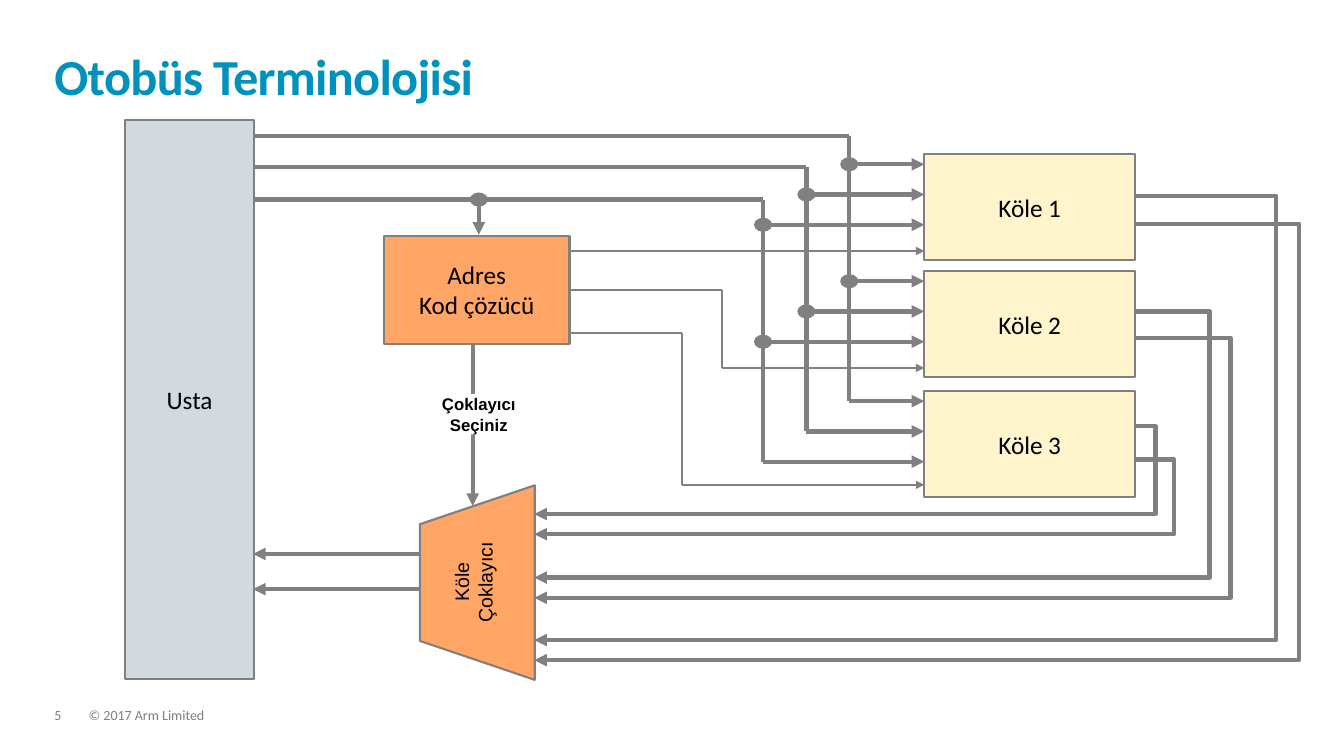
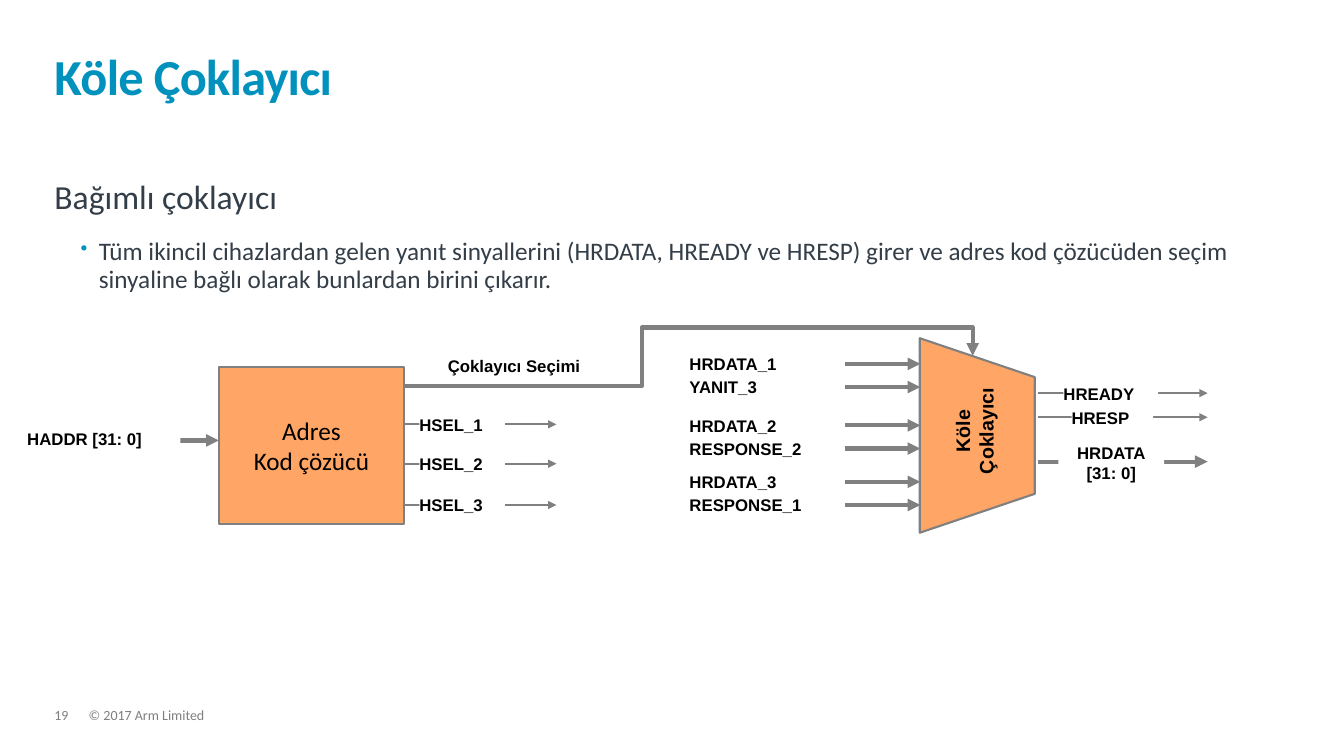
from lxml.etree import SubElement
from pptx import Presentation
from pptx.dml.color import RGBColor
from pptx.enum.shapes import MSO_CONNECTOR as LINK, MSO_SHAPE as SHAPE
from pptx.enum.text import MSO_ANCHOR as ANCHOR, MSO_AUTO_SIZE as AUTO, PP_ALIGN as ALIGN
from pptx.oxml.ns import qn
from pptx.util import Emu, Inches, Pt

# Grid: square cells, a tenth of an inch each
CELL = Inches(0.1)
COLUMNS, ROWS = 133.33, 75
MARGIN, CONTENT_WIDTH = 5.4, 122.3

# Shared look
TEAL = RGBColor(0x00, 0x91, 0xBD)
SLATE = RGBColor(0x33, 0x3E, 0x48)
FOOTER_GRAY = RGBColor(0x7F, 0x7F, 0x7F)
WIRE_GRAY = RGBColor(0x80, 0x80, 0x80)
PALE_GRAY = RGBColor(0xD2, 0xD9, 0xDF)
ORANGE = RGBColor(0xFF, 0xA6, 0x66)
CREAM = RGBColor(0xFF, 0xF4, 0xCC)
BLACK = RGBColor(0, 0, 0)
WHITE = RGBColor(0xFF, 0xFF, 0xFF)
BODY_FONT, LABEL_FONT = "Calibri", "Arial"
THIN, THICK = 1.5, 3
DECODER = ["Adres", "Kod çözücü"]
MUX = ["Köle", "Çoklayıcı"]


def cells(*counts):
    return [Emu(round(count * CELL)) for count in counts]


# Text
def add_bullet(paragraph):
    props = paragraph._p.get_or_add_pPr()
    indent, hanging = cells(4.4, -1.8)
    props.set("marL", str(indent))
    props.set("indent", str(hanging))
    color = SubElement(SubElement(props, qn("a:buClr")), qn("a:srgbClr"))
    color.set("val", str(TEAL))
    SubElement(props, qn("a:buSzPct")).set("val", "80000")
    SubElement(props, qn("a:buChar")).set("char", "•")


def write(paragraph, text, size=18, font=BODY_FONT, color=BLACK, bold=False,
          align=None, leading=None, after=None, tracking=None, bullet=False):
    if leading:
        paragraph.line_spacing = leading
    if after:
        paragraph.space_after = Pt(after)
    if align:
        paragraph.alignment = align
    if bullet:
        add_bullet(paragraph)
    run = paragraph.add_run()
    run.text = text
    run.font.size, run.font.name, run.font.bold = Pt(size), font, bold
    run.font.color.rgb = color
    if tracking:
        run._r.get_or_add_rPr().set("spc", str(round(tracking * 100)))


def write_lines(frame, lines, **style):
    for index, line in enumerate(lines):
        paragraph = frame.add_paragraph() if index else frame.paragraphs[0]
        write(paragraph, line, **style)


def text_area(slide, x, y, width, height, inset=0, anchor=ANCHOR.TOP):
    area = slide.shapes.add_textbox(*cells(x, y, width, height))
    frame = area.text_frame
    frame.word_wrap = True
    frame.auto_size = AUTO.NONE
    frame.vertical_anchor = anchor
    if not inset:
        frame.margin_left = frame.margin_right = 0
        frame.margin_top = frame.margin_bottom = 0
    return area


def label(slide, x, middle, width, lines, align=ALIGN.LEFT):
    """White signal label, centred on the height of its wire."""
    height = 2 * len(lines)
    area = text_area(slide, x, middle - height / 2, width, height)
    area.fill.solid()
    area.fill.fore_color.rgb = WHITE
    write_lines(area.text_frame, lines, size=12, font=LABEL_FONT,
                bold=True, align=align)


# Blocks
def solid(slide, kind, x, y, width, height, fill, outlined=True):
    block = slide.shapes.add_shape(kind, *cells(x, y, width, height))
    block.shadow.inherit = False
    block.fill.solid()
    block.fill.fore_color.rgb = fill
    if outlined:
        block.line.color.rgb = WIRE_GRAY
        block.line.width = Pt(THIN)
    else:
        block.line.fill.background()
    return block


def unit(slide, x, y, width, height, fill, lines):
    frame = solid(slide, SHAPE.RECTANGLE, x, y, width, height, fill).text_frame
    frame.word_wrap = False
    frame.vertical_anchor = ANCHOR.MIDDLE
    write_lines(frame, lines, align=ALIGN.CENTER)


def multiplexer(slide, x, y, turn):
    body = solid(slide, SHAPE.FLOWCHART_MANUAL_OPERATION, x, y, 19.3, 11.4, ORANGE)
    body.rotation = turn


def multiplexer_name(slide, x, y, bold):
    area = text_area(slide, x, y, 13.9, 5.7, inset=1)
    area.rotation = 270
    write_lines(area.text_frame, MUX, size=14, font=LABEL_FONT,
                bold=bold, align=ALIGN.CENTER)


def junction(slide, x, y):
    solid(slide, SHAPE.OVAL, x - 0.9, y - 0.7, 1.8, 1.4, WIRE_GRAY, outlined=False)


# Wires
def wire(slide, start, end, weight=THICK, arrow=False, kind=LINK.STRAIGHT):
    link = slide.shapes.add_connector(kind, *cells(*start, *end))
    link.line.color.rgb = WIRE_GRAY
    link.line.width = Pt(weight)
    props = link._element.spPr
    if arrow:
        SubElement(props.find(qn("a:ln")), qn("a:tailEnd")).set("type", "triangle")
    SubElement(props, qn("a:effectLst"))
    return props


def bent_wire(slide, start, end, turn_x, turn_y=None):
    """Arrow that turns at column turn_x and, if given, at row turn_y."""
    props = wire(slide, start, end, arrow=True, kind=LINK.ELBOW)
    shares = [(turn_x - start[0]) / (end[0] - start[0])]
    if turn_y is not None:
        shares.append((turn_y - start[1]) / (end[1] - start[1]))
    shape = props.find(qn("a:prstGeom"))
    shape.set("prst", f"bentConnector{len(shares) + 2}")
    guides = shape.find(qn("a:avLst"))
    if guides is None:
        guides = SubElement(shape, qn("a:avLst"))
    for number, share in enumerate(shares, 1):
        guide = SubElement(guides, qn("a:gd"))
        guide.set("name", f"adj{number}")
        guide.set("fmla", f"val {round(share * 100000)}")
    # A leftward wire is stored as a half turn with a vertical flip
    if end[0] < start[0]:
        frame = props.find(qn("a:xfrm"))
        frame.attrib.pop("flipH")
        frame.set("rot", "10800000")
        frame.set("flipV", "1")


# Slide frame: title and footer
def new_slide(deck, title, number):
    slide = deck.slides.add_slide(deck.slide_layouts[6])
    for x, width, text in ((8.8, 91.3, "© 2017 Arm Limited"), (MARGIN, 3.4, number)):
        footer = text_area(slide, x, 70.3, width, 1.5)
        write_lines(footer.text_frame, [text], size=10, color=FOOTER_GRAY,
                    leading=0.9, after=6)
    heading = text_area(slide, MARGIN, 3.2, CONTENT_WIDTH, 7.3, anchor=ANCHOR.BOTTOM)
    write_lines(heading.text_frame, [title], size=36, color=TEAL, bold=True,
                leading=0.85, tracking=-0.5)
    return slide


def bus_slide(deck):
    slide = new_slide(deck, "Otobüs Terminolojisi", "5")
    master_right, slave_left, slave_right = 25.1, 91.7, 112.6
    slave_tops = (15.3, 26.9, 38.8)
    unit(slide, 12.4, 11.9, 12.8, 55.5, PALE_GRAY, ["Usta"])
    multiplexer(slide, 37.7, 52.1, 90)

    # Three buses, each branching to every slave
    for bus, (row, column) in enumerate(((13.5, 84.25), (16.6, 80), (19.8, 75.7))):
        branches = [top + 1 + 3 * bus for top in slave_tops]
        wire(slide, (master_right, row), (column, row))
        wire(slide, (column, row), (column, branches[-1]))
        for branch in branches:
            wire(slide, (column, branch), (slave_left, branch), arrow=True)
        for branch in branches[:-1]:
            junction(slide, column, branch)

    # Select lines from the decoder
    wire(slide, (56.5, 24.9), (slave_left, 24.9), THIN, arrow=True)
    for row, column, target in ((28.8, 71.6, 36.5), (33, 67.7, 48.1)):
        wire(slide, (56.5, row), (column, row), THIN)
        wire(slide, (column, row), (column, target), THIN)
        wire(slide, (column, target), (slave_left, target), THIN, arrow=True)

    # Decoder, its address input and the multiplexer select
    wire(slide, (47.5, 19.8), (47.5, 23.3), arrow=True)
    junction(slide, 47.5, 19.8)
    wire(slide, (46.9, 33.5), (46.9, 50.2), arrow=True)
    label(slide, 39.9, 41.1, 15.2, ["Çoklayıcı", "Seçiniz"], ALIGN.CENTER)
    unit(slide, 38.1, 23.4, 18.4, 10.7, ORANGE, DECODER)
    multiplexer_name(slide, 40, 54.9, bold=False)
    for row in (54.95, 58.45):
        wire(slide, (41.6, row), (master_right, row), arrow=True)

    # Slaves and their return wires
    for number, top in enumerate(slave_tops, 1):
        unit(slide, slave_left, top, 20.9, 10.5, CREAM, [f"Köle {number}"])
    returns = ((42.3, 114.6, 51), (45.6, 116.5, 53), (30.9, 120, 57.3),
               (33.5, 122.1, 59.3), (19.4, 126.6, 63.5), (22.2, 128.9, 65.5))
    for row, turn, target in returns:
        bent_wire(slide, (slave_right, row), (53, target), turn)


def multiplexer_slide(deck):
    slide = new_slide(deck, "Köle Çoklayıcı", "19")
    body = text_area(slide, MARGIN, 17.9, CONTENT_WIDTH, 44.7).text_frame
    write(body.paragraphs[0], "Bağımlı çoklayıcı", size=24, color=SLATE,
          leading=0.9, after=16)
    write(body.add_paragraph(),
          "Tüm ikincil cihazlardan gelen yanıt sinyallerini (HRDATA, HREADY ve "
          "HRESP) girer ve adres kod çözücüden seçim sinyaline bağlı olarak "
          "bunlardan birini çıkarır.",
          color=SLATE, leading=0.9, after=12, bullet=True)

    # Decoder with its input and select outputs
    decoder_left, decoder_right = 21.7, 40.1
    wire(slide, (14.1, 43.7), (decoder_left, 43.7), arrow=True)
    label(slide, 2.7, 43.5, 15.2, ["HADDR [31: 0]"])
    for number, row in enumerate((42.1, 46, 50.1), 1):
        wire(slide, (decoder_right, row), (55.2, row), THIN, arrow=True)
        label(slide, 41.6, row, 8.5, [f"HSEL_{number}"])
    label(slide, 39, 36.3, 24, ["Çoklayıcı Seçimi"], ALIGN.CENTER)
    unit(slide, decoder_left, 36.4, 18.4, 15.6, ORANGE, DECODER)

    # Multiplexer with its inputs
    multiplexer(slide, 87.3, 37.5, 270)
    multiplexer_name(slide, 89.7, 39.9, bold=True)
    inputs = (("HRDATA_1", 36.1), ("YANIT_3", 38.4), ("HRDATA_2", 42.2),
              ("RESPONSE_2", 44.5), ("HRDATA_3", 47.8), ("RESPONSE_1", 50.1))
    for name, row in inputs:
        label(slide, 68.4, row, 15, [name])
        wire(slide, (83.8, row), (91.3, row), arrow=True)
    bent_wire(slide, (decoder_right, 38.3), (96.5, 35.3), 63.7, 32.5)

    # Multiplexer outputs
    outputs = ((39, THIN, 105.5, 9.4, ["HREADY"], ALIGN.LEFT),
               (41.4, THIN, 106.3, 8.1, ["HRESP"], ALIGN.LEFT),
               (45.8, THICK, 105, 10.5, ["HRDATA", "[31: 0]"], ALIGN.CENTER))
    for row, weight, x, width, lines, align in outputs:
        wire(slide, (102.95, row), (119.8, row), weight, arrow=True)
        label(slide, x, row + 0.1, width, lines, align)


def main():
    deck = Presentation()
    deck.slide_width, deck.slide_height = cells(COLUMNS, ROWS)
    bus_slide(deck)
    multiplexer_slide(deck)
    deck.save("out.pptx")


if __name__ == "__main__":
    main()
